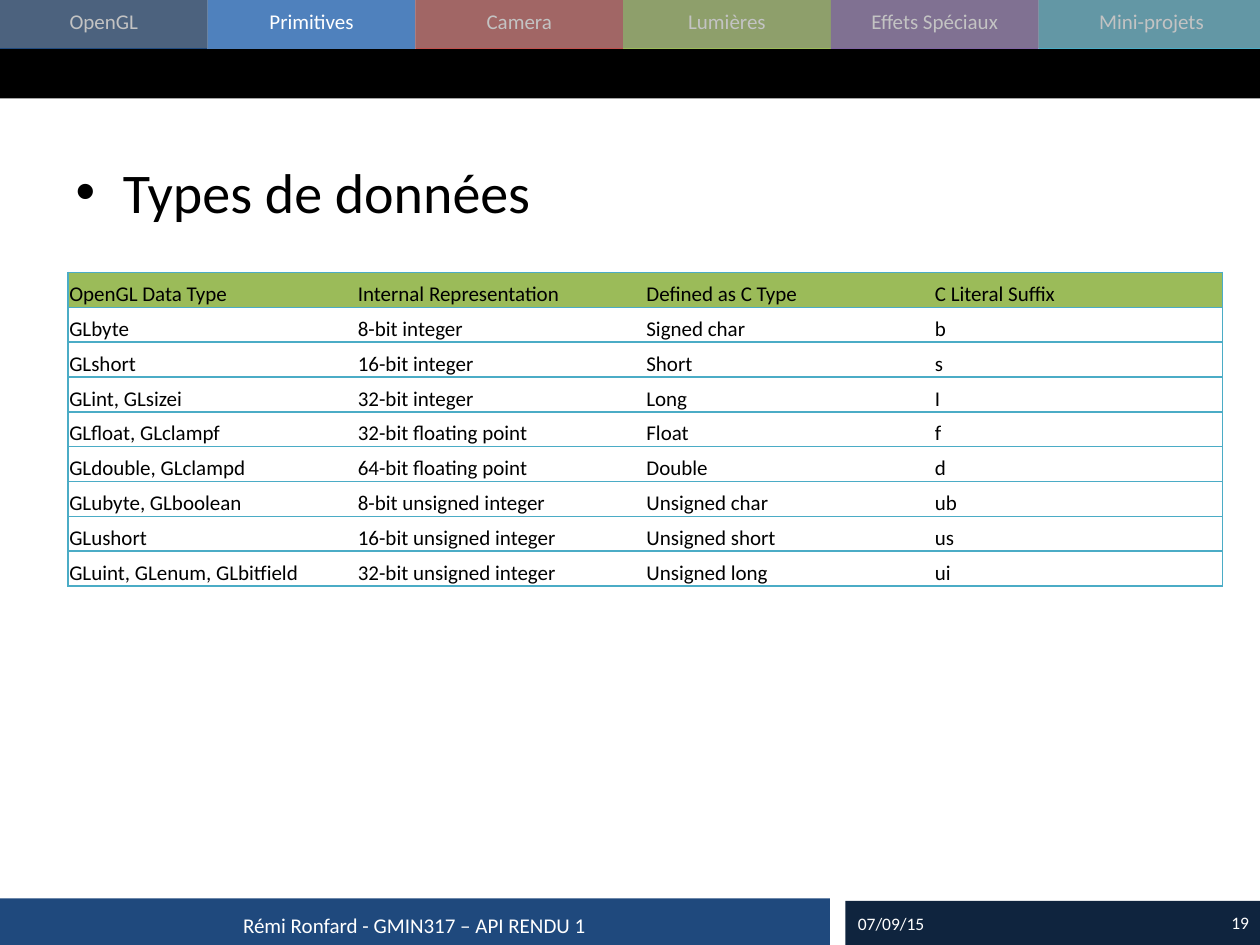
"""Build the course slide listing the OpenGL data types."""
from typing import NamedTuple, Optional

from lxml.etree import SubElement
from pptx import Presentation
from pptx.dml.color import RGBColor
from pptx.enum.shapes import MSO_SHAPE
from pptx.enum.text import MSO_ANCHOR, MSO_AUTO_SIZE, PP_ALIGN
from pptx.oxml.ns import qn
from pptx.slide import Slide
from pptx.table import Table, _Cell
from pptx.text.text import TextFrame, _Paragraph
from pptx.util import Pt

WHITE = RGBColor(0xFF, 0xFF, 0xFF)
BLACK = RGBColor(0x00, 0x00, 0x00)
GRAY = RGBColor(0x80, 0x80, 0x80)
NAVY = RGBColor(0x1F, 0x49, 0x7D)
DARK_NAVY = RGBColor(0x0F, 0x24, 0x3E)
BLUE = RGBColor(0x4F, 0x81, 0xBD)
RED = RGBColor(0xC0, 0x50, 0x4D)
GREEN = RGBColor(0x9B, 0xBB, 0x59)
PURPLE = RGBColor(0x80, 0x64, 0xA2)
TEAL = RGBColor(0x4B, 0xAC, 0xC6)

FONT = "Calibri"
TAB_WIDTH = 118.7
BAR_HEIGHT = 28.1
COLUMN_WIDTH = 164.9
ROW_HEIGHT = 19.92
NO_GRID_STYLE = "{2D5ABB26-0587-4C30-8999-92F81FD0307C}"


class Box(NamedTuple):
    left: float
    top: float
    width: float
    height: float

    def lengths(self) -> list[Pt]:
        return [Pt(value) for value in self]


class Tab(NamedTuple):
    label: str
    color: RGBColor
    width: float = TAB_WIDTH


class Band(NamedTuple):
    box: Box
    color: RGBColor
    opacity: Optional[int] = None


class Note(NamedTuple):
    text: str
    box: Box
    size: float
    alignment: PP_ALIGN
    anchor: MSO_ANCHOR = MSO_ANCHOR.MIDDLE


TABS = [
    Tab("OpenGL", NAVY),
    Tab("Primitives", BLUE),
    Tab("Camera", RED),
    Tab("Lumières", GREEN),
    Tab("Effets Spéciaux", PURPLE),
    Tab("Mini-projets", TEAL, 129),
]
BANDS = [
    Band(Box(0, BAR_HEIGHT, 723, BAR_HEIGHT), BLACK),
    Band(Box(-0.7, 513.4, 475, 27.4), NAVY),
    Band(Box(483.1, 514.8, 238.3, 27.4), DARK_NAVY),
]
VEILS = [
    Band(Box(0, -0.7, TAB_WIDTH, BAR_HEIGHT), GRAY, 47),
    Band(Box(2 * TAB_WIDTH, -0.7, 485, BAR_HEIGHT), GRAY, 47),
]
FOOTER_NOTES = [
    Note("Rémi Ronfard - GMIN317 – API RENDU 1", Box(-0.7, 514.8, 475, 27.4), 12, PP_ALIGN.CENTER),
    Note("19", Box(553, 514.1, 167.8, 26.6), 10, PP_ALIGN.RIGHT),
    Note("07/09/15", Box(483.1, 514.1, 70.6, 27.4), 10, PP_ALIGN.LEFT),
]
DATA_TYPES = [
    ("OpenGL Data Type", "Internal Representation", "Defined as C Type", "C Literal Suffix"),
    ("GLbyte", "8-bit integer", "Signed char", "b"),
    ("GLshort", "16-bit integer", "Short", "s"),
    ("GLint, GLsizei", "32-bit integer", "Long", "I"),
    ("GLfloat, GLclampf", "32-bit floating point", "Float", "f"),
    ("GLdouble, GLclampd", "64-bit floating point", "Double", "d"),
    ("GLubyte, GLboolean", "8-bit unsigned integer", "Unsigned char", "ub"),
    ("GLushort", "16-bit unsigned integer", "Unsigned short", "us"),
    ("GLuint, GLenum, GLbitfield", "32-bit unsigned integer", "Unsigned long", "ui"),
]


def write_run(frame: TextFrame, text: str, size: float, color: RGBColor, alignment: PP_ALIGN) -> _Paragraph:
    paragraph = frame.paragraphs[0]
    paragraph.alignment = alignment
    run = paragraph.add_run()
    run.text = text
    run.font.name = FONT
    run.font.size = Pt(size)
    run.font.color.rgb = color
    return paragraph


def draw_band(slide: Slide, band: Band) -> None:
    shape = slide.shapes.add_shape(MSO_SHAPE.RECTANGLE, *band.box.lengths())
    shape.shadow.inherit = False
    shape.line.fill.background()
    shape.fill.solid()
    shape.fill.fore_color.rgb = band.color
    if band.opacity is not None:
        color = shape.fill._xPr.find(qn("a:solidFill")).find(qn("a:srgbClr"))
        SubElement(color, qn("a:alpha"), val=str(band.opacity * 1000))


def draw_note(slide: Slide, note: Note) -> None:
    frame = slide.shapes.add_textbox(*note.box.lengths()).text_frame
    frame.word_wrap = True
    frame.vertical_anchor = note.anchor
    write_run(frame, note.text, note.size, WHITE, note.alignment)


def draw_tabs(slide: Slide) -> None:
    for index, tab in enumerate(TABS):
        left = index * TAB_WIDTH
        draw_band(slide, Band(Box(left, 0, tab.width, BAR_HEIGHT), tab.color))
        label_box = Box(left, 1.4, tab.width, 21.6)
        draw_note(slide, Note(tab.label, label_box, 12, PP_ALIGN.CENTER, MSO_ANCHOR.TOP))


def draw_title(slide: Slide, text: str) -> None:
    title = slide.shapes.title
    title.left, title.top, title.width, title.height = Box(36, 86.4, 648, 54).lengths()
    frame = title.text_frame
    frame.word_wrap = True
    frame.auto_size = MSO_AUTO_SIZE.NONE
    frame.vertical_anchor = MSO_ANCHOR.TOP
    paragraph = write_run(frame, text, 32, BLACK, PP_ALIGN.LEFT)
    properties = paragraph._p.get_or_add_pPr()
    properties.set("marL", str(Pt(27)))
    properties.set("indent", str(Pt(-27)))
    SubElement(properties, qn("a:buFont"), typeface="Arial")
    SubElement(properties, qn("a:buChar"), char="•")


def add_border(cell: _Cell, side: str) -> None:
    line = SubElement(cell._tc.get_or_add_tcPr(), qn(f"a:ln{side}"), w=str(Pt(1)))
    fill = SubElement(line, qn("a:solidFill"))
    SubElement(fill, qn("a:srgbClr"), val=str(TEAL))


def fill_cell(cell: _Cell, text: str, sides: str, color: RGBColor) -> None:
    for side in sides:
        add_border(cell, side)
    cell.fill.solid()
    cell.fill.fore_color.rgb = color
    cell.margin_left = cell.margin_right = cell.margin_top = Pt(0.7)
    cell.margin_bottom = Pt(0)
    cell.vertical_anchor = MSO_ANCHOR.BOTTOM
    write_run(cell.text_frame, text, 12, BLACK, PP_ALIGN.LEFT)


def draw_table(slide: Slide) -> None:
    row_count, column_count = len(DATA_TYPES), len(DATA_TYPES[0])
    box = Box(38.9, 155.7, column_count * COLUMN_WIDTH, row_count * ROW_HEIGHT)
    table: Table = slide.shapes.add_table(row_count, column_count, *box.lengths()).table
    table.horz_banding = False
    table._tbl.tblPr.find(qn("a:tableStyleId")).text = NO_GRID_STYLE
    for column in table.columns:
        column.width = Pt(COLUMN_WIDTH)
    for row_index, values in enumerate(DATA_TYPES):
        table.rows[row_index].height = Pt(ROW_HEIGHT)
        color = GREEN if row_index == 0 else WHITE
        for column_index, text in enumerate(values):
            sides = {0: "LTB", column_count - 1: "RTB"}.get(column_index, "TB")
            fill_cell(table.cell(row_index, column_index), text, sides, color)


def main() -> None:
    presentation = Presentation()
    presentation.slide_width, presentation.slide_height = Pt(720), Pt(540)
    slide = presentation.slides.add_slide(presentation.slide_layouts[5])
    draw_title(slide, "Types de données")
    draw_tabs(slide)
    for band in BANDS + VEILS:
        draw_band(slide, band)
    for note in FOOTER_NOTES:
        draw_note(slide, note)
    draw_table(slide)
    presentation.save("out.pptx")


if __name__ == "__main__":
    main()
